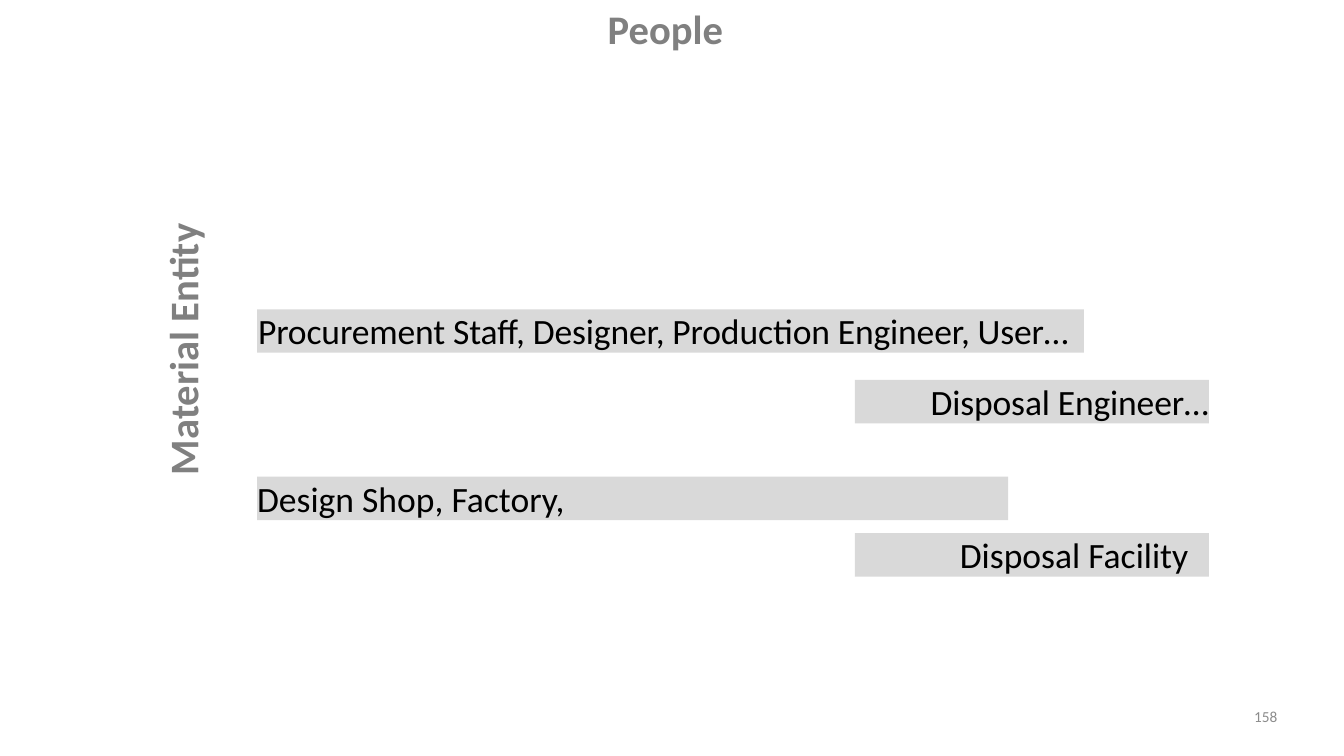
from dataclasses import dataclass

from pptx import Presentation
from pptx.dml.color import RGBColor
from pptx.enum.shapes import MSO_SHAPE
from pptx.enum.text import MSO_ANCHOR, MSO_AUTO_SIZE, PP_ALIGN
from pptx.shapes.autoshape import Shape
from pptx.slide import Slide
from pptx.util import Inches, Pt

HEADING_GRAY = RGBColor(0x80, 0x80, 0x80)
NUMBER_GRAY = RGBColor(0x8C, 0x8C, 0x8C)
BAR_GRAY = RGBColor(0xD9, 0xD9, 0xD9)
BLACK = RGBColor(0, 0, 0)
FONT_NAME = "Calibri"
BAR_HEIGHT = 0.43


@dataclass(frozen=True)
class Bar:
    text: str
    left: float
    top: float
    width: float
    align: PP_ALIGN = PP_ALIGN.LEFT
    left_inset: float = 0
    right_inset: float = 0
    spacing: int = 0


BARS = [
    Bar("Procurement Staff, Designer, Production Engineer, User…",
        2.55, 3.07, 8.2, left_inset=0.01, spacing=-10),
    Bar("Disposal Engineer…", 8.48, 3.77, 3.51, PP_ALIGN.RIGHT, spacing=-10),
    Bar("Design Shop, Factory,", 2.55, 4.73, 7.45),
    Bar("Disposal Facility", 8.48, 5.29, 3.51, PP_ALIGN.RIGHT, right_inset=0.2),
]


def place(box: Shape, left: float, top: float, width: float, height: float) -> None:
    box.left, box.top = Inches(left), Inches(top)
    box.width, box.height = Inches(width), Inches(height)


def write(box: Shape, text: str, size: float, color: RGBColor,
          align: PP_ALIGN, bold: bool = False, spacing: int = 0) -> None:
    frame = box.text_frame
    frame.word_wrap = True
    frame.auto_size = MSO_AUTO_SIZE.NONE
    para = frame.paragraphs[0]
    para.text = text
    para.alignment = align
    para.font.name = FONT_NAME
    para.font.size = Pt(size)
    para.font.bold = bold
    para.font.color.rgb = color
    if spacing:
        para._p.get_or_add_pPr().get_or_add_defRPr().set("spc", str(spacing))


def set_insets(box: Shape, left: float = 0, right: float = 0) -> None:
    frame = box.text_frame
    frame.margin_left, frame.margin_right = Inches(left), Inches(right)
    frame.margin_top = frame.margin_bottom = 0


def add_heading(box: Shape, text: str, left: float, top: float) -> None:
    place(box, left, top, 6.92, 0.59)
    box.text_frame.vertical_anchor = MSO_ANCHOR.TOP
    write(box, text, 29, HEADING_GRAY, PP_ALIGN.CENTER, bold=True)


def add_bar(page: Slide, bar: Bar) -> None:
    box = page.shapes.add_shape(
        MSO_SHAPE.RECTANGLE, Inches(bar.left), Inches(bar.top),
        Inches(bar.width), Inches(BAR_HEIGHT))
    box.shadow.inherit = False
    box.fill.solid()
    box.fill.fore_color.rgb = BAR_GRAY
    box.line.fill.background()
    set_insets(box, bar.left_inset, bar.right_inset)
    box.text_frame.vertical_anchor = MSO_ANCHOR.TOP
    write(box, bar.text, 25.4, BLACK, bar.align, spacing=bar.spacing)


def add_page_number(page: Slide, number: str) -> None:
    box = page.shapes.add_textbox(Inches(9.6), Inches(6.97), Inches(3.07), Inches(0.27))
    set_insets(box)
    box.text_frame.vertical_anchor = MSO_ANCHOR.MIDDLE
    write(box, number, 10.9, NUMBER_GRAY, PP_ALIGN.RIGHT)


def main() -> None:
    deck = Presentation()
    deck.slide_width, deck.slide_height = Inches(13.33), Inches(7.5)
    page = deck.slides.add_slide(deck.slide_layouts[5])

    add_heading(page.shapes.title, "People", 3.14, -0.01)
    side_label = page.shapes.add_textbox(0, 0, 0, 0)
    add_heading(side_label, "Material Entity", -1.65, 3.17)
    side_label.rotation = 270

    for bar in BARS:
        add_bar(page, bar)
    add_page_number(page, "158")
    deck.save("out.pptx")


if __name__ == "__main__":
    main()
